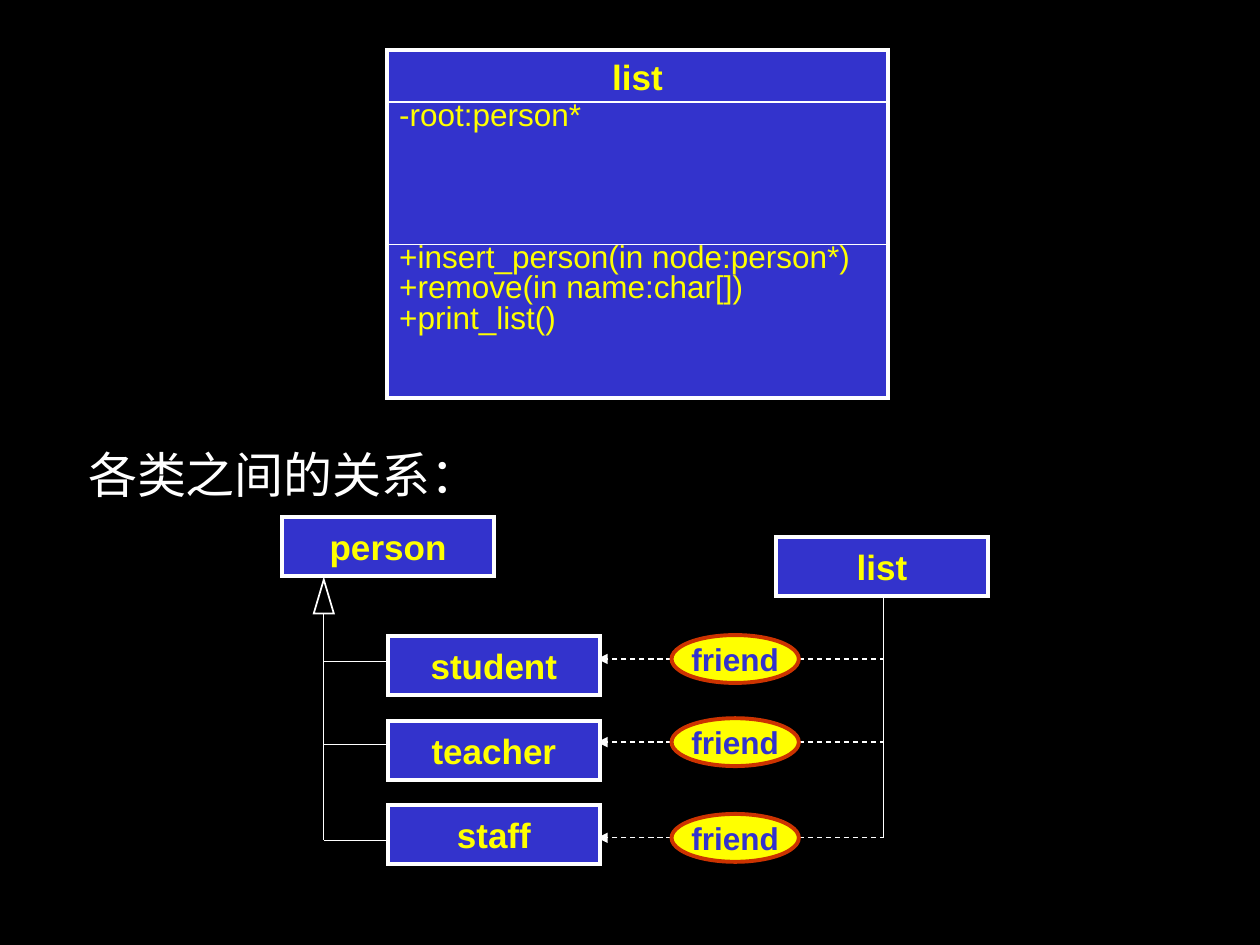
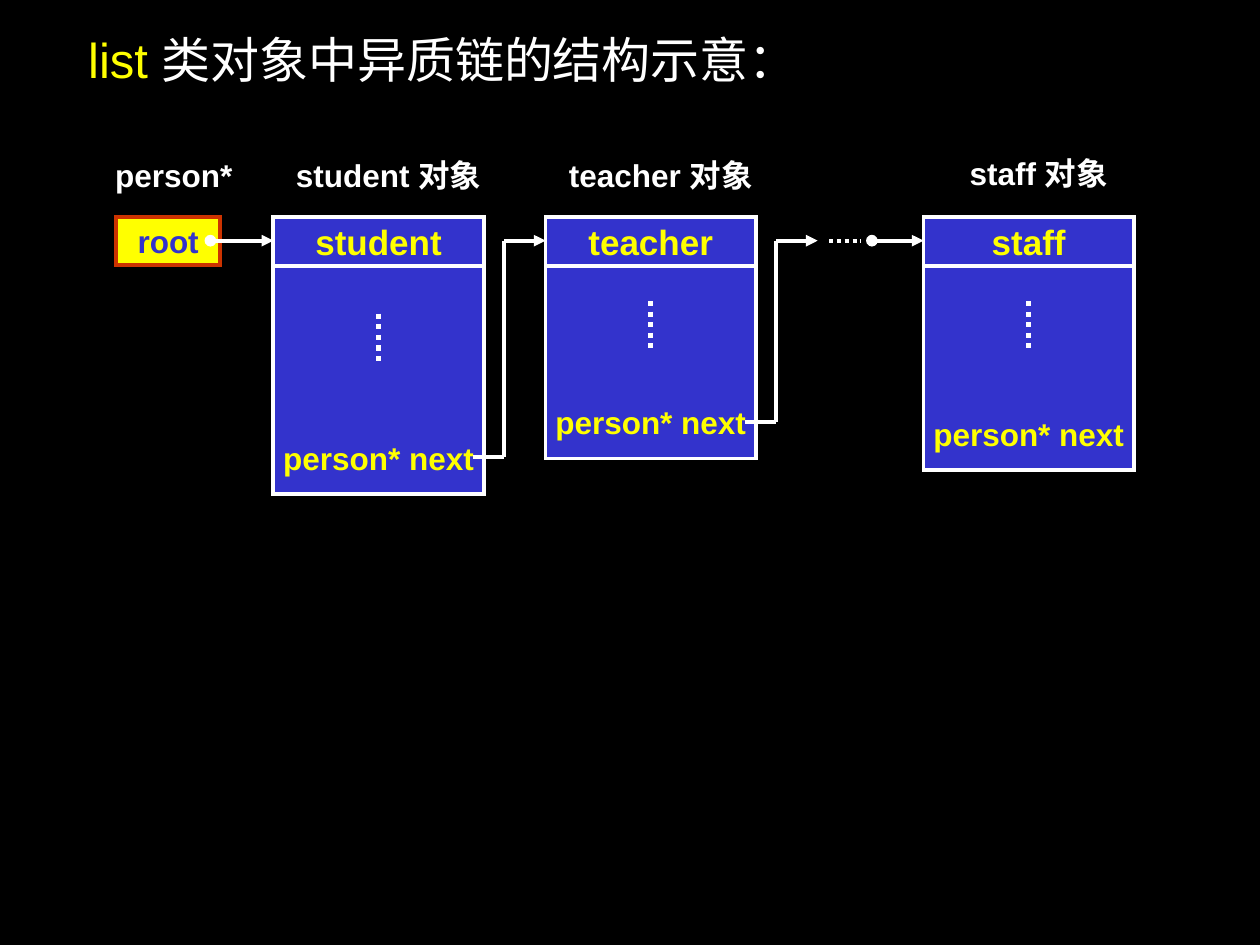
from lxml.etree import SubElement
from pptx import Presentation
from pptx.dml.color import RGBColor
from pptx.enum.dml import MSO_LINE as Dash
from pptx.enum.shapes import MSO_CONNECTOR as Connector, MSO_SHAPE as Shape
from pptx.enum.text import MSO_ANCHOR as Anchor, PP_ALIGN as Align
from pptx.oxml.ns import qn
from pptx.util import Inches, Pt

COLORS = {"back": "000000", "box": "3333CC", "white": "FFFFFF",
          "yellow": "FFFF00", "rim": "CC3300"}
FONT = "Arial"


def color(name):
    return RGBColor.from_string(COLORS[name])


def write(shape, *lines, size=18, ink="yellow", bold=True, align=Align.CENTER,
          anchor=Anchor.MIDDLE, wrap=False, margins=(0.1, 0.05), spacing=None):
    """Each line is a string or a list of (text, colour) spans."""
    frame = shape.text_frame
    frame.word_wrap = wrap
    frame.vertical_anchor = anchor
    frame.margin_left = frame.margin_right = Inches(margins[0])
    frame.margin_top = frame.margin_bottom = Inches(margins[1])
    for index, line in enumerate(lines):
        para = frame.add_paragraph() if index else frame.paragraphs[0]
        para.alignment = align
        para.line_spacing = spacing
        for text, span_ink in [(line, ink)] if isinstance(line, str) else line:
            span = para.add_run()
            span.text = text
            span.font.name = FONT
            span.font.size = Pt(size)
            span.font.bold = bold
            span.font.color.rgb = color(span_ink)


def add_box(page, box, *lines, kind=Shape.RECTANGLE, fill="box", edge="white",
            width=2.25, **text_format):
    shape = page.shapes.add_shape(kind, *map(Inches, box))
    shape.shadow.inherit = False
    if fill:
        shape.fill.solid()
        shape.fill.fore_color.rgb = color(fill)
    else:
        shape.fill.background()
    shape.line.color.rgb = color(edge)
    shape.line.width = Pt(width)
    SubElement(shape._element.spPr.find(qn("a:ln")), qn("a:miter"), lim="800000")
    if lines:
        write(shape, *lines, **text_format)


def add_label(page, box, *lines, **text_format):
    write(page.shapes.add_textbox(*map(Inches, box)), *lines, **text_format)


def add_caption(page, center, top, width, height, text):
    add_label(page, (center - width / 2, top, width, height), text,
              ink="white", margins=(0, 0.05))


def add_line(page, start, end, width=0.75, dash=None, head=None, tail=None):
    line = page.shapes.add_connector(Connector.STRAIGHT, *map(Inches, start + end))
    line.line.color.rgb = color("white")
    line.line.width = Pt(width)
    if dash:
        line.line.dash_style = dash
    properties = line._element.spPr
    outline = properties.find(qn("a:ln"))
    for tag, mark in (("a:headEnd", head), ("a:tailEnd", tail)):
        if mark:
            SubElement(outline, qn(tag), type=mark)
    SubElement(properties, qn("a:effectLst"))


def add_heading(page, top, *spans):
    add_label(page, (0.7, top, 8.8, 0.6), list(spans), size=28, bold=False,
              align=Align.LEFT, wrap=True, margins=(0, 0.05))


def add_page(deck):
    page = deck.slides.add_slide(deck.slide_layouts[6])
    page.background.fill.solid()
    page.background.fill.fore_color.rgb = color("back")
    return page


def class_card(page, box, name, attributes, operations):
    left, top, width, height = box
    name_height, attributes_height = 0.41, 1.13
    add_box(page, (left, top, width, name_height), name, width=0.75, size=20,
            margins=(0.1, 0))
    pane_top = top + name_height
    rest = height - name_height - attributes_height
    for members, pane_height in ((attributes, attributes_height), (operations, rest)):
        add_box(page, (left, pane_top, width, pane_height), *members, width=0.75,
                bold=False, align=Align.LEFT, anchor=Anchor.TOP, wrap=True,
                margins=(0.1, 0), spacing=0.8)
        pane_top += pane_height
    add_box(page, box, fill=None)


def class_relations(page, box):
    """Draw person with its subclasses on the left, and list with its friends."""
    left, top, width, height = box
    class_width, class_height = 1.68, 0.47
    trunk, sub_left = left + 0.33, left + 0.84
    list_left = left + width - class_width
    list_top, list_trunk = top + 0.16, left + 4.77
    friend_left, friend_width, friend_height = left + 3.09, 1.01, 0.38

    for name, x, y in (("person", left, top), ("list", list_left, list_top)):
        add_box(page, (x, y, class_width, class_height), name, size=20)

    subclasses = (("student", 1.15, 1.13), ("teacher", 1.81, 1.79), ("staff", 2.57, 2.55))
    step = 0.67
    first_top = top + height - class_height - 2 * step
    for index, (name, branch, friendship) in enumerate(subclasses):
        branch_y, friend_y = top + branch, top + friendship
        add_line(page, (friend_left + friend_width, friend_y), (list_trunk, friend_y),
                 dash=Dash.DASH)
        add_line(page, (friend_left, friend_y), (sub_left + class_width - 0.02, friend_y),
                 dash=Dash.DASH, tail="triangle")
        add_box(page, (friend_left, friend_y - friend_height / 2, friend_width, friend_height),
                "friend", kind=Shape.OVAL, fill="yellow", edge="rim", ink="box")
        add_box(page, (sub_left, first_top + index * step, class_width, class_height),
                name, size=20)
        add_line(page, (trunk, branch_y), (sub_left, branch_y))
    add_line(page, (list_trunk, list_top + class_height), (list_trunk, friend_y))
    add_line(page, (trunk, top + 0.77), (trunk, branch_y))
    add_box(page, (trunk - 0.08, top + 0.5, 0.16, 0.27),
            kind=Shape.ISOSCELES_TRIANGLE, fill=None, width=1)


def root_pointer(page, box):
    left, top, width, height = box
    add_caption(page, left + 0.46, top - 0.57, 1.2, 0.48, "person*")
    add_box(page, box, "root", fill="yellow", edge="rim", ink="box")
    wire = top + height / 2
    add_line(page, (left + width - 0.08, wire), (left + width + 0.42, wire),
             2.25, head="oval", tail="triangle")


def list_node(page, box, name, dots_top, caption_height=0.48, linked=True):
    left, top, width, height = box
    head, middle, bottom = 0.39, left + width / 2, top + height
    add_caption(page, middle + 0.08, top - 0.57, 1.9, caption_height, f"{name} 对象")
    add_box(page, (left, top, width, head), name, size=20)
    add_box(page, (left, top + head, width, height - head))
    add_box(page, (middle - 0.75, bottom - 0.48, 1.5, 0.38), "person* next",
            edge="box", margins=(0.1, 0))
    add_line(page, (middle, top + dots_top), (middle, top + dots_top + 0.38),
             3, Dash.ROUND_DOT)
    if linked:
        next_y, wire, bend = bottom - 0.29, top + 0.19, left + width + 0.16
        add_line(page, (bend - 0.25, next_y), (bend, next_y), 2.25)
        add_line(page, (bend, wire), (bend, next_y), 2.25)
        add_line(page, (bend, wire), (bend + 0.33, wire), 2.25, tail="triangle")


def relations_page(deck):
    page = add_page(deck)
    class_card(page, (3.07, 0.4, 3.98, 2.76), "list", ["-root:person*"],
               ["+insert_person(in node:person*)", "+remove(in name:char[])",
                "+print_list()"])
    add_heading(page, 3.46, ("各类之间的关系：", "white"))
    class_relations(page, (2.24, 4.1, 5.6, 2.76))


def chain_page(deck):
    page = add_page(deck)
    add_heading(page, 0.17, ("list ", "yellow"), ("类对象中异质链的结构示意：", "white"))
    top, width = 1.72, 1.67
    list_node(page, (2.17, top, width, 2.2), "student", 0.77)
    list_node(page, (4.33, top, width, 1.92), "teacher", 0.67)
    list_node(page, (7.33, top, width, 2.01), "staff", 0.67, caption_height=0.44, linked=False)
    root_pointer(page, (0.92, top, 0.83, 0.38))
    wire = top + 0.19
    add_line(page, (6.58, wire), (6.83, wire), 2.25, Dash.ROUND_DOT)
    add_line(page, (6.92, wire), (7.33, wire), 2.25, head="oval", tail="triangle")


def main():
    deck = Presentation()
    deck.slide_width, deck.slide_height = Inches(10), Inches(7.5)
    relations_page(deck)
    chain_page(deck)
    deck.save("out.pptx")


if __name__ == "__main__":
    main()
